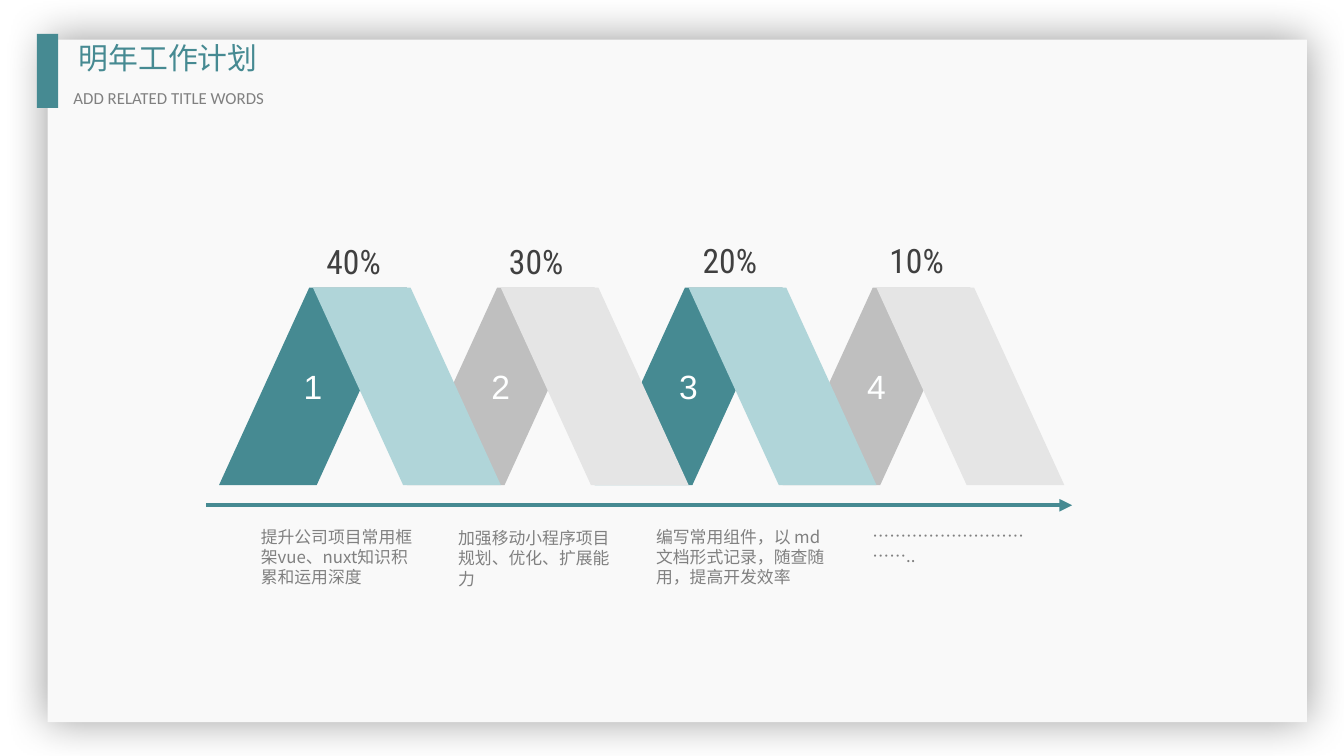
import lxml.etree
import pptx
import pptx.dml.color
import pptx.enum.shapes
import pptx.enum.text
import pptx.oxml.ns
import pptx.util
from pptx.util import Cm

COLORS = {
    "panel": "F9F9F9",
    "teal": "468A92",
    "light_teal": "B0D5D9",
    "gray": "BFBFBF",
    "light_gray": "E5E5E5",
    "white": "FEFFFF",
    "caption": "808080",
    "percent": "404040",
    "shadow": "000000",
}
CJK_FONT = "Noto Sans CJK SC"
SHAPES = pptx.enum.shapes.MSO_SHAPE
ALIGN = pptx.enum.text.PP_ALIGN


def rgb(name):
    """Return the named colour."""
    return pptx.dml.color.RGBColor.from_string(COLORS[name])


def add_xml(parent, tag, **attributes):
    """Append a DrawingML element to its parent."""
    return lxml.etree.SubElement(parent, pptx.oxml.ns.qn(tag), attributes)


def format_paragraph(paragraph, font_name, size, color, alignment):
    """Format a paragraph and its runs."""
    paragraph.alignment = alignment
    for run in paragraph.runs:
        run.font.name = font_name
        run.font.size = pptx.util.Pt(size)
        run.font.color.rgb = rgb(color)
        add_xml(run.font._element, "a:ea", typeface=font_name)


def add_block(slide, kind, left, top, width, height, fill):
    """Add a filled shape without outline or shadow."""
    shape = slide.shapes.add_shape(kind, Cm(left), Cm(top), Cm(width), Cm(height))
    shape.shadow.inherit = False
    shape.fill.solid()
    shape.fill.fore_color.rgb = rgb(fill)
    shape.line.fill.background()
    return shape


def add_panel(slide):
    """Add the page panel with its soft shadow."""
    panel = add_block(slide, SHAPES.RECTANGLE, 0.9, 0.75, 23.8, 12.9, "panel")
    effects = panel.element.spPr.find(pptx.oxml.ns.qn("a:effectLst"))
    shadow = add_xml(effects, "a:outerShdw", blurRad=str(pptx.util.Pt(23)),
                     dist="0", dir="0", algn="ctr", rotWithShape="0")
    color = add_xml(shadow, "a:srgbClr", val=COLORS["shadow"])
    add_xml(color, "a:alpha", val="40000")


def add_text(slide, text, left, top, width, height, font_name, size, color,
             alignment=ALIGN.LEFT, insets=(0.18, 0.1), wrap=True, spacing=None):
    """Add a text box with one paragraph."""
    box = slide.shapes.add_textbox(Cm(left), Cm(top), Cm(width), Cm(height))
    frame = box.text_frame
    frame.word_wrap = wrap
    frame.margin_left = frame.margin_right = Cm(insets[0])
    frame.margin_top = frame.margin_bottom = Cm(insets[1])
    frame.text = text
    paragraph = frame.paragraphs[0]
    if spacing:
        paragraph.line_spacing = pptx.util.Pt(spacing)
    format_paragraph(paragraph, font_name, size, color, alignment)


def add_band(slide, left, fill, number=None):
    """Add a slanted band, rising with a number or falling without one."""
    band = add_block(slide, SHAPES.PARALLELOGRAM, left, 5.44, 3.55, 3.73, fill)
    band.adjustments[0] = 0.48
    if number is None:
        band.element.spPr.get_or_add_xfrm().set("flipV", "1")
        return
    frame = band.text_frame
    frame.text = str(number)
    frame.vertical_anchor = pptx.enum.text.MSO_ANCHOR.MIDDLE
    format_paragraph(frame.paragraphs[0], "Arial", 18, "white", ALIGN.CENTER)


def add_arrow(slide, left, right, top):
    """Add the horizontal timeline arrow."""
    arrow = slide.shapes.add_connector(
        pptx.enum.shapes.MSO_CONNECTOR.STRAIGHT, Cm(left), Cm(top), Cm(right), Cm(top))
    arrow.line.color.rgb = rgb("teal")
    arrow.line.width = pptx.util.Pt(2.25)
    add_xml(arrow.line._get_or_add_ln(), "a:tailEnd", type="triangle")
    add_xml(arrow.element.spPr, "a:effectLst")


def add_zigzag(slide):
    """Add four rising bands overlaid by four falling ones."""
    first, pitch = 4.14, 3.55
    for index in range(4):
        add_band(slide, first + index * pitch, ("teal", "gray")[index % 2], index + 1)
    for index in range(4):
        add_band(slide, first + (index + 0.5) * pitch,
                 ("light_teal", "light_gray")[index % 2])


def main():
    """Build the work plan slide."""
    presentation = pptx.Presentation()
    presentation.slide_width = Cm(25.4)
    presentation.slide_height = Cm(14.29)
    slide = presentation.slides.add_slide(presentation.slide_layouts[6])

    add_panel(slide)
    add_block(slide, SHAPES.RECTANGLE, 0.7, 0.64, 0.4, 1.4, "teal")
    add_text(slide, "明年工作计划", 1.29, 0.64, 5.1, 0.89, CJK_FONT, 16, "teal",
             ALIGN.JUSTIFY, (0.2, 0.1), spacing=19.4)
    add_text(slide, "ADD RELATED TITLE WORDS", 1.19, 1.55, 5.66, 0.58, "Calibri", 9,
             "caption", ALIGN.JUSTIFY, (0.2, 0.1))

    add_zigzag(slide)
    add_arrow(slide, 3.9, 20.26, 9.55)

    captions = [
        ("提升公司项目常用框架vue、nuxt知识积累和运用深度", 4.75, 9.86, 3.4),
        ("加强移动小程序项目规划、优化、扩展能力", 8.48, 9.88, 3.4),
        ("编写常用组件，以 md 文档形式记录，随查随用，提高开发效率", 12.22, 9.86, 3.73),
        ("……………………………..", 16.31, 9.83, 3.4),
    ]
    for text, left, top, width in captions:
        add_text(slide, text, left, top, width, 1.35, CJK_FONT, 9, "caption",
                 spacing=10.8)

    percents = [("40%", 5.92, 4.42), ("30%", 9.37, 4.42),
                ("20%", 13.03, 4.4), ("10%", 16.56, 4.4)]
    for text, left, top in percents:
        add_text(slide, text, left, top, 1.62, 1.02, "Roboto Condensed", 18, "percent",
                 insets=(0.25, 0.13), wrap=False)

    presentation.save("out.pptx")


if __name__ == "__main__":
    main()
